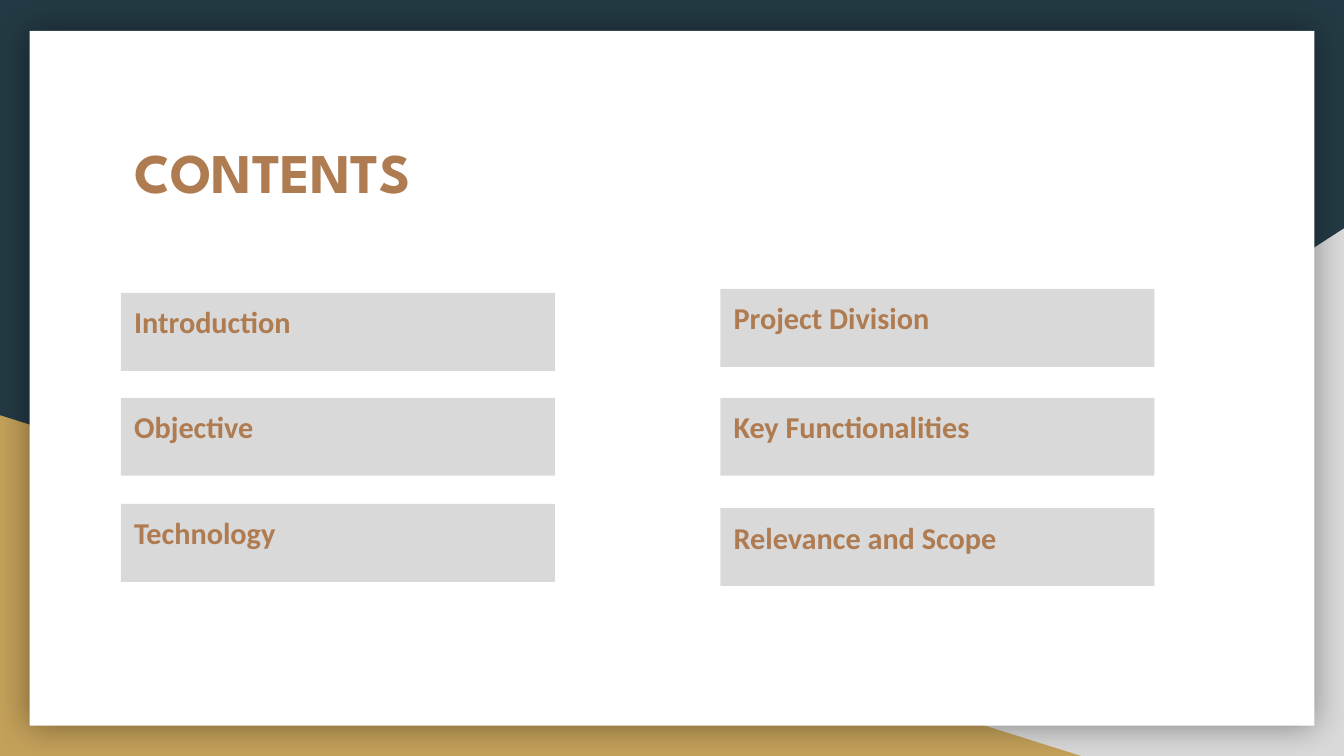
from pptx import Presentation
from pptx.dml.color import RGBColor
from pptx.enum.shapes import MSO_SHAPE
from pptx.enum.text import MSO_ANCHOR, PP_ALIGN
from pptx.oxml import parse_xml
from pptx.oxml.ns import nsdecls
from pptx.util import Inches, Pt

COLORS = {
    "navy": "233A44",
    "gray": "D9D9D9",
    "gold": "C4A15A",
    "white": "FFFFFF",
    "bronze": "AF7B51",
}

TOPIC_COLUMNS = [
    (0.9, [("Introduction", 2.18), ("Objective", 2.96), ("Technology", 3.75)]),
    (5.36, [("Project Division", 2.15), ("Key Functionalities", 2.96),
            ("Relevance and Scope", 3.78)]),
]


def rgb(name):
    return RGBColor.from_string(COLORS[name])


def add_panel(slide, preset, box, color):
    panel = slide.shapes.add_shape(preset, *map(Inches, box))
    panel.shadow.inherit = False
    panel.fill.solid()
    panel.fill.fore_color.rgb = rgb(color)
    panel.line.fill.background()
    return panel


def add_glow_shadow(panel):
    effects = panel._element.spPr.find("{*}effectLst")
    effects.append(parse_xml(
        f'<a:outerShdw {nsdecls("a")} blurRad="{Pt(18)}" dist="0" dir="0" '
        'algn="ctr" rotWithShape="0"><a:srgbClr val="000000">'
        '<a:alpha val="40000"/></a:srgbClr></a:outerShdw>'
    ))


def write_text(holder, text, font_name, size, line_spacing=1.0):
    frame = holder.text_frame
    frame.text = text
    frame.word_wrap = True
    frame.vertical_anchor = MSO_ANCHOR.TOP
    frame.margin_left = frame.margin_right = Inches(0.1)
    frame.margin_top = frame.margin_bottom = Inches(0.1)
    paragraph = frame.paragraphs[0]
    paragraph.alignment = PP_ALIGN.LEFT
    paragraph.line_spacing = line_spacing
    font = paragraph.runs[0].font
    font.name = font_name
    font.size = Pt(size)
    font.bold = True
    font.color.rgb = rgb("bronze")


def add_backdrop(slide):
    slide.background.fill.solid()
    slide.background.fill.fore_color.rgb = rgb("navy")
    gray_corner = add_panel(
        slide, MSO_SHAPE.RIGHT_TRIANGLE, (3.92, 1.7, 6.08, 3.93), "gray")
    gray_corner._element.spPr.xfrm.set("flipH", "1")
    add_panel(slide, MSO_SHAPE.RIGHT_TRIANGLE, (0, 3.09, 8.06, 2.54), "gold")
    page = add_panel(slide, MSO_SHAPE.RECTANGLE, (0.22, 0.23, 9.56, 5.17), "white")
    add_glow_shadow(page)


def add_heading(slide, text):
    heading = slide.shapes.add_textbox(*map(Inches, (0.9, 0.92, 8.21, 1.04)))
    write_text(heading, text, "League Spartan", 30)


def add_topics(slide):
    for left, topics in TOPIC_COLUMNS:
        for topic, top in topics:
            bar = add_panel(
                slide, MSO_SHAPE.RECTANGLE, (left, top, 3.23, 0.58), "gray")
            write_text(bar, topic, "Calibri", 16.2, 0.95)


def main():
    presentation = Presentation()
    presentation.slide_width = Inches(10)
    presentation.slide_height = Inches(10) * 9 // 16
    slide = presentation.slides.add_slide(presentation.slide_layouts[6])
    add_backdrop(slide)
    add_heading(slide, "CONTENTS")
    add_topics(slide)
    presentation.save("out.pptx")


if __name__ == "__main__":
    main()
